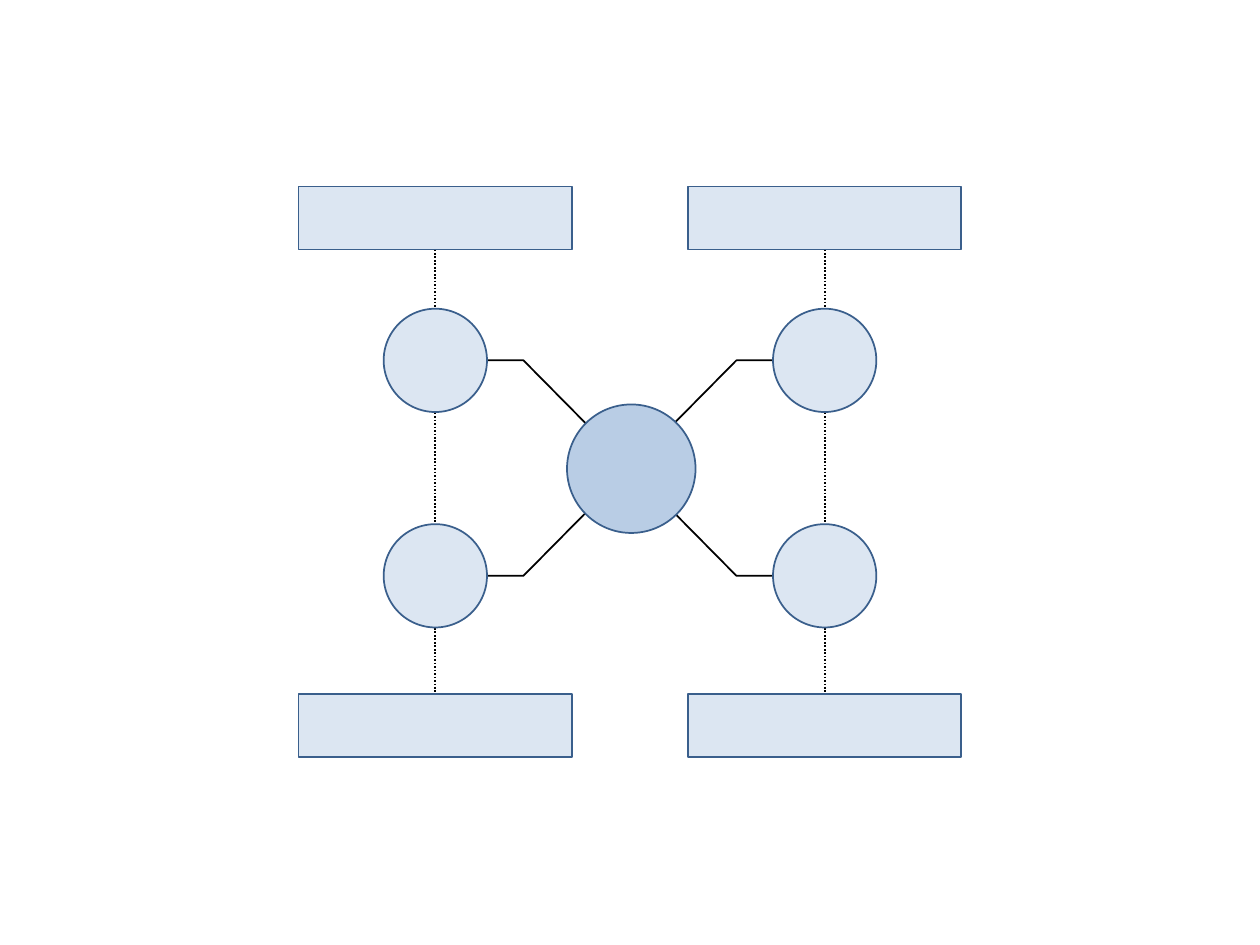
from dataclasses import dataclass
from itertools import product

from lxml.etree import SubElement
from pptx import Presentation
from pptx.dml.color import RGBColor
from pptx.enum.dml import MSO_LINE
from pptx.enum.shapes import MSO_CONNECTOR, MSO_SHAPE
from pptx.oxml.ns import qn
from pptx.shapes.autoshape import Shape
from pptx.shapes.connector import Connector
from pptx.shapes.shapetree import GroupShapes
from pptx.util import Inches, Pt


@dataclass(frozen=True)
class Theme:
    pale: RGBColor = RGBColor(0xDC, 0xE6, 0xF2)
    strong: RGBColor = RGBColor(0xB9, 0xCD, 0xE5)
    outline: RGBColor = RGBColor(0x3A, 0x5F, 0x8C)
    link: RGBColor = RGBColor(0, 0, 0)
    line_width: float = 1


@dataclass(frozen=True)
class Node:
    kind: MSO_SHAPE
    width: float
    height: float
    fill: RGBColor


THEME = Theme()
PAGE_WIDTH, PAGE_HEIGHT = 10, 7.5
COLUMNS = (3.455, 6.545)
BOX_ROWS = (1.73, 5.76)
CIRCLE_ROWS = (2.86, 4.57)
HUB_CENTER = (5.01, 3.72)
BEND_INSET = 0.29

HUB = Node(MSO_SHAPE.OVAL, 1.02, 1.02, THEME.strong)
CIRCLE = Node(MSO_SHAPE.OVAL, 0.82, 0.82, THEME.pale)
BOX = Node(MSO_SHAPE.RECTANGLE, 2.17, 0.5, THEME.pale)


def style_line(shape: Shape | Connector, color: RGBColor) -> None:
    shape.line.color.rgb = color
    shape.line.width = Pt(THEME.line_width)


def draw_node(shapes: GroupShapes, node: Node, center_x: float, center_y: float) -> Shape:
    shape = shapes.add_shape(
        node.kind,
        Inches(center_x - node.width / 2),
        Inches(center_y - node.height / 2),
        Inches(node.width),
        Inches(node.height),
    )
    shape.shadow.inherit = False
    shape.fill.solid()
    shape.fill.fore_color.rgb = node.fill
    style_line(shape, THEME.outline)
    return shape


def draw_dotted_link(shapes: GroupShapes, column: float) -> Connector:
    top = BOX_ROWS[0] + BOX.height / 2
    bottom = BOX_ROWS[1] - BOX.height / 2
    link = shapes.add_connector(
        MSO_CONNECTOR.STRAIGHT, Inches(column), Inches(top), Inches(column), Inches(bottom)
    )
    style_line(link, THEME.link)
    link.line.dash_style = MSO_LINE.ROUND_DOT
    SubElement(link._element.spPr, qn("a:effectLst"))
    return link


def draw_bent_link(shapes: GroupShapes, start_y: float, end_y: float) -> None:
    left = COLUMNS[0] + CIRCLE.width / 2
    right = COLUMNS[1] - CIRCLE.width / 2
    builder = shapes.build_freeform(Inches(left), Inches(start_y))
    corners = [(left + BEND_INSET, start_y), (right - BEND_INSET, end_y), (right, end_y)]
    builder.add_line_segments([(Inches(x), Inches(y)) for x, y in corners], close=False)
    link = builder.convert_to_shape()
    link.shadow.inherit = False
    link.fill.background()
    style_line(link, THEME.link)


def main() -> None:
    deck = Presentation()
    deck.slide_width, deck.slide_height = Inches(PAGE_WIDTH), Inches(PAGE_HEIGHT)
    page = deck.slides.add_slide(deck.slide_layouts[6])
    shapes = page.shapes.add_group_shape().shapes

    dotted_links = [draw_dotted_link(shapes, column) for column in COLUMNS]
    draw_bent_link(shapes, *CIRCLE_ROWS)
    draw_bent_link(shapes, *reversed(CIRCLE_ROWS))

    draw_node(shapes, HUB, *HUB_CENTER)
    for row, column in product(CIRCLE_ROWS, COLUMNS):
        draw_node(shapes, CIRCLE, column, row)
    top_boxes, bottom_boxes = (
        [draw_node(shapes, BOX, column, row) for column in COLUMNS] for row in BOX_ROWS
    )
    for link, top_box, bottom_box in zip(dotted_links, top_boxes, bottom_boxes):
        link.begin_connect(top_box, 2)
        link.end_connect(bottom_box, 0)

    deck.save("out.pptx")


if __name__ == "__main__":
    main()
